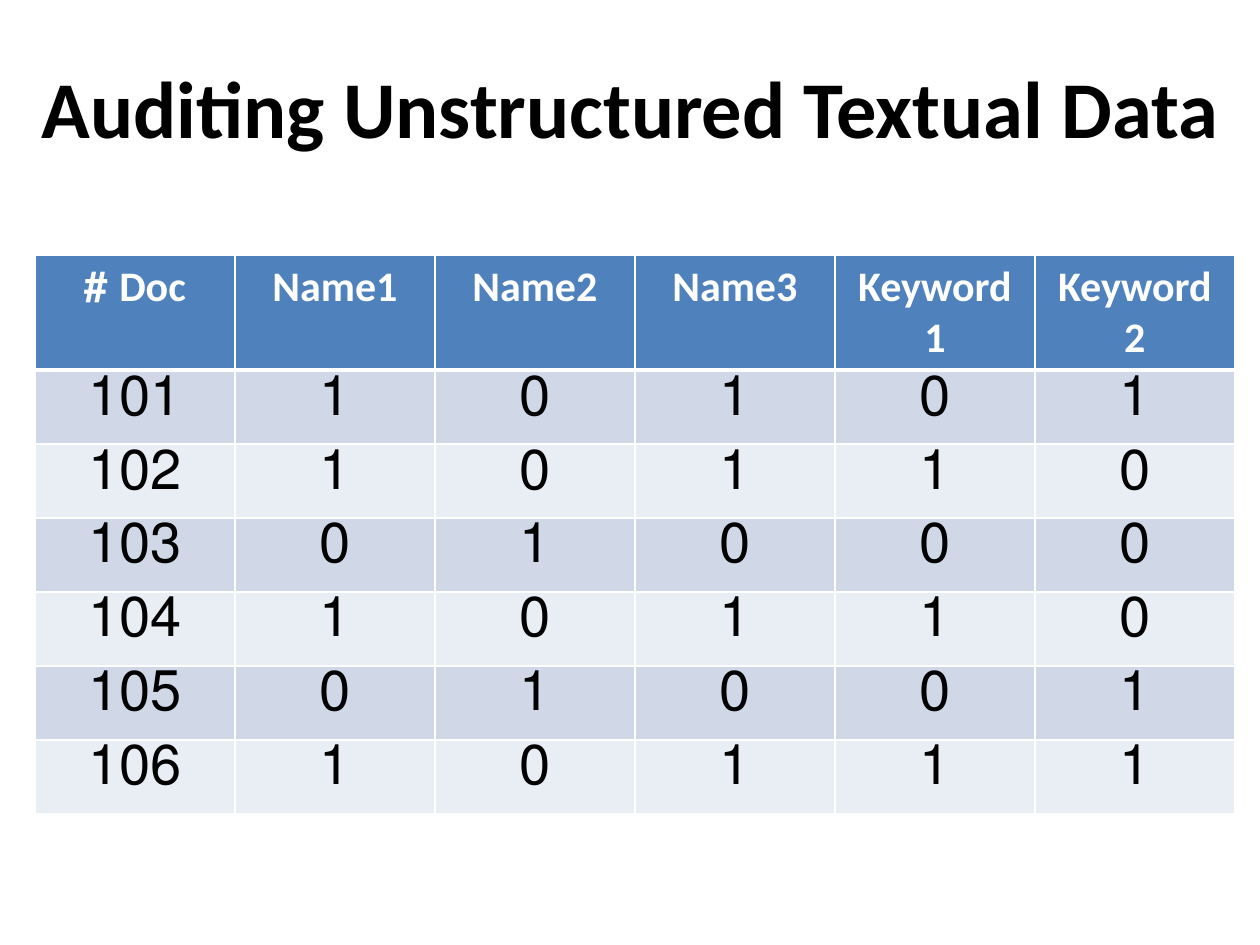
from pptx import Presentation
from pptx.dml.color import RGBColor
from pptx.enum.text import MSO_ANCHOR, PP_ALIGN
from pptx.oxml.ns import qn
from pptx.util import Pt
from lxml.etree import SubElement

PIXEL = 914400 // 126
BORDER_SIDES = ("L", "R", "T", "B")


def color(value):
    return RGBColor.from_string(value)


class AuditSlide:
    font = "Calibri"
    ink = "000000"
    white = "FFFFFF"
    header_fill = "4F81BD"
    bands = ("D0D8E8", "E9EDF4")

    def __init__(self, deck):
        self.page = deck.slides.add_slide(deck.slide_layouts[5])

    def add_text(self, frame, text, size, ink, bold):
        para = frame.paragraphs[0]
        para.alignment = PP_ALIGN.CENTER
        para._p.get_or_add_pPr().set("rtl", "1")
        span = para.add_run()
        span.text = text
        span.font.name = self.font
        span.font.size = Pt(size)
        span.font.bold = bold
        span.font.color.rgb = color(ink)

    def title(self, text, left, top, width, height):
        box = self.page.shapes.title
        box.left, box.top = left * PIXEL, top * PIXEL
        box.width, box.height = width * PIXEL, height * PIXEL
        box.text_frame.word_wrap = True
        box.text_frame.vertical_anchor = MSO_ANCHOR.MIDDLE
        self.add_text(box.text_frame, text, 46, self.ink, True)

    def borders(self, cell, widths):
        properties = cell._tc.get_or_add_tcPr()
        for side in BORDER_SIDES:
            line = SubElement(properties, qn(f"a:ln{side}"), w=str(Pt(widths.get(side, 1))))
            fill = SubElement(line, qn("a:solidFill"))
            SubElement(fill, qn("a:srgbClr"), val=self.white)

    def table(self, rows, left, top, column_width, header_height, row_height):
        count = len(rows[0])
        height = header_height + row_height * (len(rows) - 1)
        grid = self.page.shapes.add_table(
            len(rows), count, left * PIXEL, top * PIXEL,
            column_width * count * PIXEL, height * PIXEL).table
        for column in grid.columns:
            column.width = column_width * PIXEL
        for index, values in enumerate(rows):
            header = index == 0
            grid.rows[index].height = (header_height if header else row_height) * PIXEL
            for position, value in enumerate(values):
                cell = grid.cell(index, position)
                if header:
                    self.borders(cell, {"B": 3})
                    self.add_text(cell.text_frame, value, 24, self.white, True)
                else:
                    self.borders(cell, {"T": 3} if index == 1 else {})
                    cell.margin_top = cell.margin_bottom = 0
                    self.add_text(cell.text_frame, value, 32, self.ink, False)
                cell.fill.solid()
                fill = self.header_fill if header else self.bands[(index - 1) % 2]
                cell.fill.fore_color.rgb = color(fill)


HEADINGS = ["Doc #", "Name1", "Name2", "Name3", "Keyword1", "Keyword2"]
FLAGS = {
    "101": "10101",
    "102": "10110",
    "103": "01000",
    "104": "10110",
    "105": "01001",
    "106": "10111",
}

deck = Presentation()
deck.slide_width, deck.slide_height = 1260 * PIXEL, 945 * PIXEL
slide = AuditSlide(deck)
slide.title("Auditing Unstructured Textual Data", 0, 38, 1260, 137)
documents = [[number, *flags] for number, flags in FLAGS.items()]
slide.table([HEADINGS, *documents], 35, 255, 200, 106, 74)
deck.save("out.pptx")
